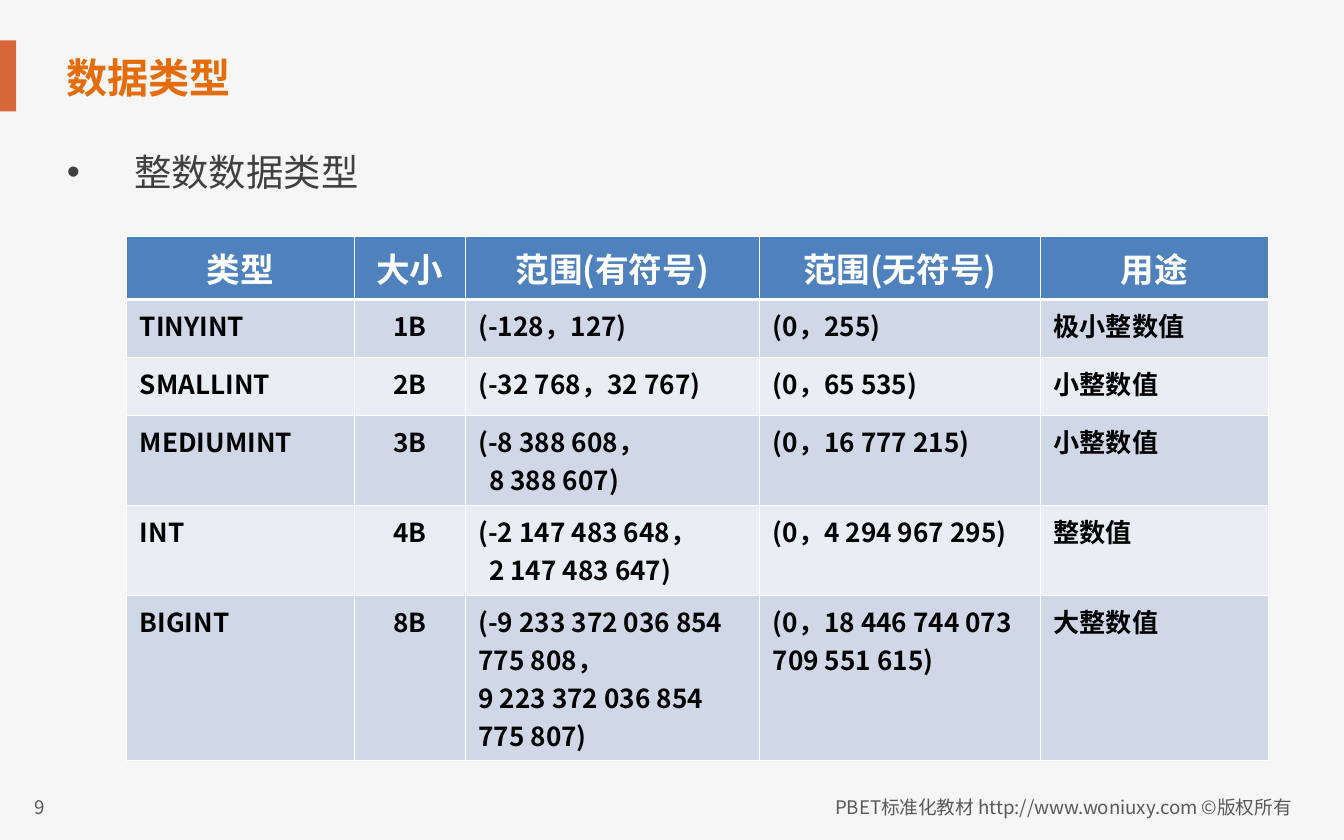
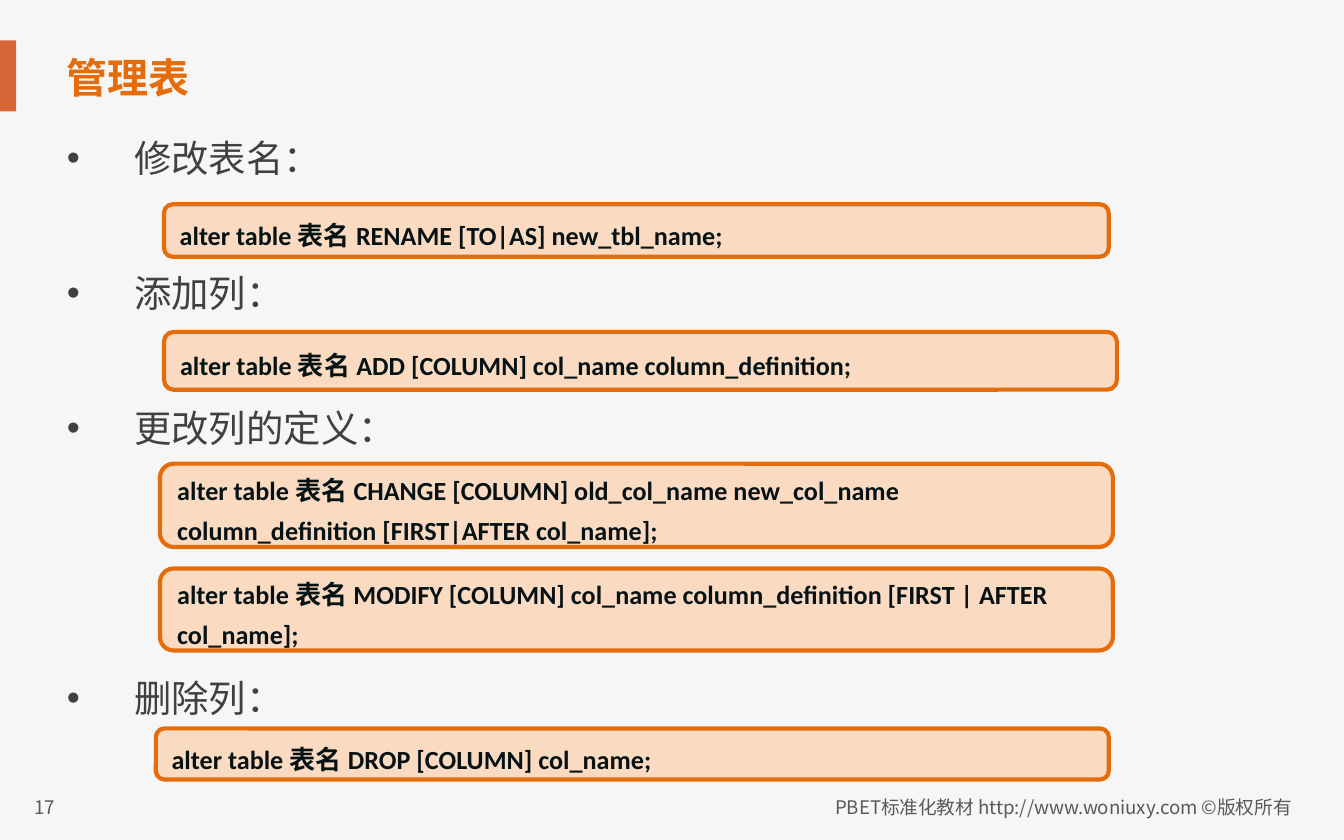
from lxml.etree import SubElement
from pptx import Presentation
from pptx.dml.color import RGBColor
from pptx.enum.shapes import MSO_SHAPE
from pptx.enum.text import MSO_ANCHOR, PP_ALIGN
from pptx.oxml.ns import qn
from pptx.util import Inches, Pt

# Shared style
CJK_FONT = "Noto Sans CJK SC"
CODE_FONT = "Calibri"
BACKGROUND = "F6F6F6"
ACCENT = "D76739"
ORANGE = "E46C0A"
BODY_COLOR = "404040"
FOOTER_COLOR = "595959"
CODE_FILL = "FCD5B5"
CODE_COLOR = "071215"
WHITE = "FFFFFF"
BLACK = "000000"
HEADER_FILL = "4F81BD"
BAND_FILLS = ("D0D8E8", "E9EDF4")
FOOTER = "PBET标准化教材 http://www.woniuxy.com ©版权所有"

# Integer types: a tuple in a cell holds one paragraph per entry
COLUMN_WIDTHS = (1.7, 0.82, 2.19, 2.09, 1.7)
ROW_HEIGHTS = (0.47, 0.43, 0.43, 0.67, 0.67, 1.23)
INTEGER_TYPES = (
    ("类型", "大小", "范围(有符号)", "范围(无符号)", "用途"),
    ("TINYINT", "1B", "(-128，127)", "(0，255)", "极小整数值"),
    ("SMALLINT", "2B", "(-32 768，32 767)", "(0，65 535)", "小整数值"),
    ("MEDIUMINT", "3B", ("(-8 388 608，", "8 388 607)"),
     "(0，16 777 215)", "小整数值"),
    ("INT", "4B", ("(-2 147 483 648，", "2 147 483 647)"),
     "(0，4 294 967 295)", "整数值"),
    ("BIGINT", "8B",
     ("(-9 233 372 036 854 775 808，", "9 223 372 036 854 775 807)"),
     "(0，18 446 744 073 709 551 615)", "大整数值"),
)
INDENTED_ROWS = (3, 4)

# Headings with the space before each, and code boxes: left, top, width, height
HEADINGS = (("修改表名：", 0), ("添加列：", 48.3), ("更改列的定义：", 48.3),
            ("删除列：", 120.3))
STATEMENTS = (
    (1.22, 1.52, 7.03, 0.39, "RENAME [TO|AS] new_tbl_name;"),
    (1.22, 2.47, 7.09, 0.43, "ADD [COLUMN] col_name column_definition;"),
    (1.19, 3.45, 7.09, 0.62, "CHANGE [COLUMN] old_col_name new_col_name "
                             "column_definition [FIRST|AFTER col_name];"),
    (1.19, 4.23, 7.09, 0.61, "MODIFY [COLUMN] col_name column_definition "
                             "[FIRST | AFTER col_name];"),
    (1.16, 5.42, 7.09, 0.38, "DROP [COLUMN] col_name;"),
)


def rgb(color):
    return RGBColor.from_string(color)


def style_paragraph(p, size, color, bold=False, font=CJK_FONT, align=PP_ALIGN.LEFT):
    p.alignment = align
    for r in p.runs:
        r.font.size = Pt(size)
        r.font.bold = bold
        r.font.color.rgb = rgb(color)
        r.font.name = font
        SubElement(r.font._element, qn("a:ea"), typeface=CJK_FONT)


def add_text(slide, box, text, size, color, bold=False, align=PP_ALIGN.LEFT,
             anchor=MSO_ANCHOR.TOP):
    sp = slide.shapes.add_textbox(*map(Inches, box))
    tf = sp.text_frame
    tf.word_wrap = True
    tf.vertical_anchor = anchor
    tf.text = text
    style_paragraph(tf.paragraphs[0], size, color, bold, align=align)
    return tf


def set_indent(p, left, first=0.0):
    pPr = p._p.get_or_add_pPr()
    pPr.set("marL", str(Inches(left)))
    pPr.set("indent", str(Inches(first)))
    return pPr


def add_bullets(slide, top, items):
    sp = slide.shapes.add_textbox(*map(Inches, (0.4, top, 9.22, 4.73)))
    tf = sp.text_frame
    tf.word_wrap = True
    for i, (text, space_before) in enumerate(items):
        p = tf.paragraphs[0] if i == 0 else tf.add_paragraph()
        p.text = text
        if space_before:
            p.space_before = Pt(space_before)
        pPr = set_indent(p, 0.5, -0.5)
        SubElement(SubElement(pPr, qn("a:buClr")), qn("a:srgbClr"), val=BODY_COLOR)
        SubElement(pPr, qn("a:buFont"), typeface="Arial")
        SubElement(pPr, qn("a:buChar"), char="•")
        style_paragraph(p, 20, BODY_COLOR)


def add_base_slide(prs, title, number):
    slide = prs.slides.add_slide(prs.slide_layouts[6])
    slide.background.fill.solid()
    slide.background.fill.fore_color.rgb = rgb(BACKGROUND)
    # Accent bar
    bar = slide.shapes.add_shape(
        MSO_SHAPE.RECTANGLE, *map(Inches, (-0.07, 0.3, 0.19, 0.53)))
    bar.shadow.inherit = False
    bar.fill.solid()
    bar.fill.fore_color.rgb = rgb(ACCENT)
    bar.line.fill.background()
    # Footer, page number and title
    tf = add_text(slide, (4.99, 5.87, 4.76, 0.27), FOOTER, 10, FOOTER_COLOR,
                  align=PP_ALIGN.RIGHT)
    tf.margin_right = Inches(0.14)
    add_text(slide, (0.16, 5.87, 0.86, 0.3), str(number), 10, FOOTER_COLOR)
    add_text(slide, (0.4, 0.33, 7.02, 0.48), title, 22, ORANGE, bold=True,
             anchor=MSO_ANCHOR.MIDDLE)
    return slide


def set_borders(cell, **widths):
    tcPr = cell._tc.get_or_add_tcPr()
    for side in "LRTB":
        ln = SubElement(tcPr, qn(f"a:ln{side}"), w=str(Pt(widths.get(side, 0.45))))
        SubElement(SubElement(ln, qn("a:solidFill")), qn("a:srgbClr"), val=WHITE)


def fill_cell(cell, content, row, col):
    header = row == 0
    set_borders(cell, **({"B": 1.47} if header else {"T": 1.47} if row == 1 else {}))
    cell.fill.solid()
    cell.fill.fore_color.rgb = rgb(HEADER_FILL if header else BAND_FILLS[(row - 1) % 2])
    lines = (content,) if isinstance(content, str) else content
    cell.text_frame.text = "\n".join(lines)
    align = PP_ALIGN.CENTER if header or col == 1 else PP_ALIGN.LEFT
    for i, p in enumerate(cell.text_frame.paragraphs):
        if i and row in INDENTED_ROWS:
            set_indent(p, 0.08)
        style_paragraph(p, 18 if header else 14, WHITE if header else BLACK,
                        bold=True, align=align)


def add_type_table(slide, left, top):
    box = (left, top, sum(COLUMN_WIDTHS), sum(ROW_HEIGHTS))
    table = slide.shapes.add_table(
        len(ROW_HEIGHTS), len(COLUMN_WIDTHS), *map(Inches, box)).table
    table.horz_banding = False
    for column, width in zip(table.columns, COLUMN_WIDTHS):
        column.width = Inches(width)
    for i, height in enumerate(ROW_HEIGHTS):
        table.rows[i].height = Inches(height)
        for j, content in enumerate(INTEGER_TYPES[i]):
            fill_cell(table.cell(i, j), content, i, j)


def add_code_box(slide, left, top, width, height, clause):
    sp = slide.shapes.add_shape(
        MSO_SHAPE.ROUNDED_RECTANGLE, *map(Inches, (left, top, width, height)))
    sp.shadow.inherit = False
    sp.fill.solid()
    sp.fill.fore_color.rgb = rgb(CODE_FILL)
    color = sp._element.spPr.find(qn("a:solidFill"))[0]
    SubElement(color, qn("a:alpha"), val="80000")
    sp.line.color.rgb = rgb(ORANGE)
    sp.line.width = Pt(2.25)
    tf = sp.text_frame
    tf.word_wrap = True
    tf.vertical_anchor = MSO_ANCHOR.MIDDLE
    tf.text = f"alter table 表名 {clause}"
    p = tf.paragraphs[0]
    p.line_spacing = 1.3
    style_paragraph(p, 14, CODE_COLOR, bold=True, font=CODE_FONT)


def main():
    prs = Presentation()
    prs.slide_width, prs.slide_height = Inches(10), Inches(6.25)

    # Integer data types
    slide = add_base_slide(prs, "数据类型", 9)
    add_bullets(slide, 1.06, [("整数数据类型", 0)])
    add_type_table(slide, 0.94, 1.76)

    # Altering tables
    slide = add_base_slide(prs, "管理表", 17)
    add_bullets(slide, 0.96, HEADINGS)
    for statement in STATEMENTS:
        add_code_box(slide, *statement)

    prs.save("out.pptx")


if __name__ == "__main__":
    main()
